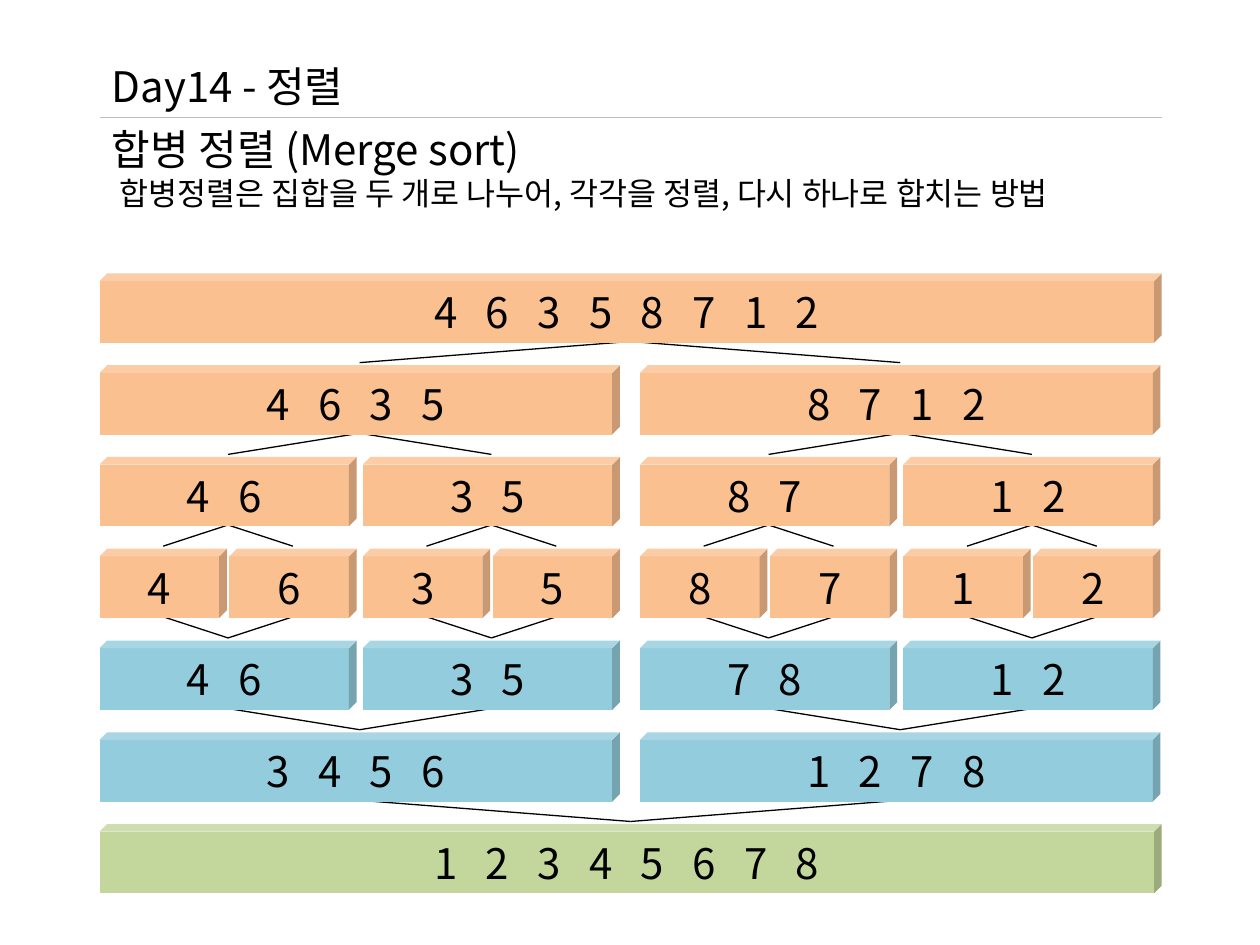
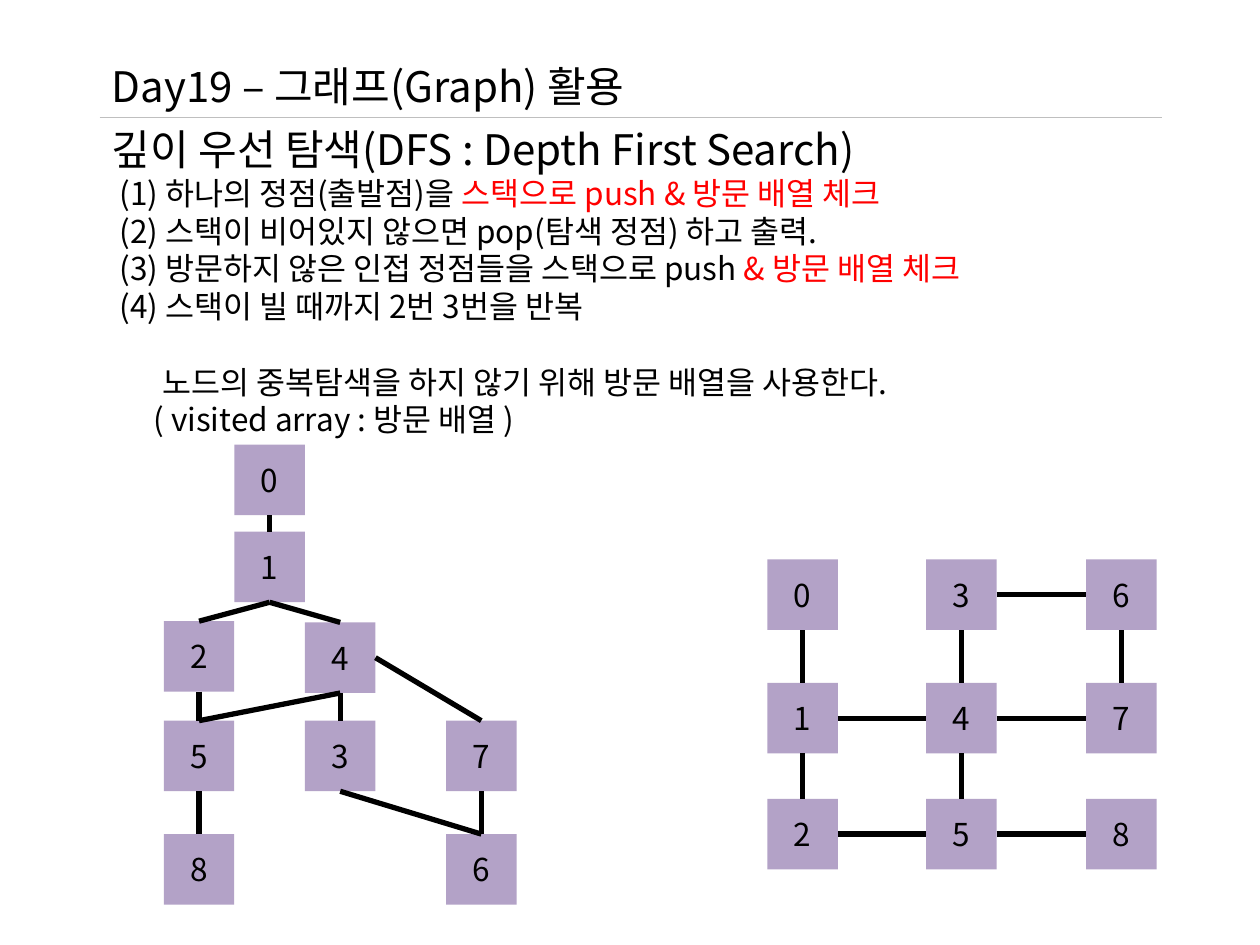
import pptx
import pptx.util
import pptx.dml.color
import pptx.enum.shapes
import pptx.enum.text
import pptx.oxml.ns
import lxml.etree

Inches = pptx.util.Inches
Pt = pptx.util.Pt
FACE = "Noto Sans CJK KR"
BLACK, RED, GRAY = "000000", "FF0000", "BFBFBF"
PEACH, BLUE, GREEN, MAUVE = "FAC090", "93CDDD", "C3D69B", "B3A2C7"
LEFT, WIDE, RULE = 0.79, 8.43, 0.93

MERGE = {
    "title": "Day14 - 정렬",
    "head": "합병 정렬 (Merge sort)",
    "body": [
        (0.06, 0, [("합병정렬은 집합을 두 개로 나누어, 각각을 정렬, 다시 하나로 합치는 방법", BLACK)]),
    ],
    "tall": 0.81,
}
ROWS = [
    (PEACH, ["46358712"]),
    (PEACH, ["4635", "8712"]),
    (PEACH, ["46", "35", "87", "12"]),
    (PEACH, ["4", "6", "3", "5", "8", "7", "1", "2"]),
    (BLUE, ["46", "35", "78", "12"]),
    (BLUE, ["3456", "1278"]),
    (GREEN, ["12345678"]),
]
WIDTHS = {1: 8.43, 2: 4.13, 4: 2.04, 8: 1.01}
SHIFTS = {2: 4.29, 4: 2.09, 8: 1.03}
TOP, LAST, HIGH = 2.17, 6.54, 0.55
STEP = (LAST - TOP) / (len(ROWS) - 1)

SEARCH = {
    "title": "Day19 – 그래프(Graph) 활용",
    "head": "깊이 우선 탐색(DFS : Depth First Search)",
    "body": [
        (0.06, 0, [("(1) 하나의 정점(출발점)을 ", BLACK), ("스택으로 push & 방문 배열 체크", RED)]),
        (0.06, 0, [("(2) 스택이 비어있지 않으면 pop(탐색 정점) 하고 출력.", BLACK)]),
        (0.06, 0, [("(3) 방문하지 않은 인접 정점들을 스택으로 push", BLACK), (" & 방문 배열 체크", RED)]),
        (0.06, 0, [("(4) 스택이 빌 때까지 2번 3번을 반복", BLACK)]),
        (0.4, 21.5, [("노드의 중복탐색을 하지 않기 위해 방문 배열을 사용한다.", BLACK)]),
        (0.33, 0, [("( visited array : 방문 배열 )", BLACK)]),
    ],
    "tall": 2.93,
}
NODE = 0.56
TREE = {
    "0": (1.86, 3.53), "1": (1.86, 4.22), "2": (1.3, 4.93),
    "3": (2.42, 5.72), "4": (2.42, 4.94), "5": (1.3, 5.72),
    "6": (3.54, 6.62), "7": (3.54, 5.72), "8": (1.3, 6.62),
}
GRID = {
    str(3 * col + row): (x, y)
    for col, x in enumerate((6.09, 7.35, 8.62))
    for row, y in enumerate((4.44, 5.42, 6.34))
}
SIDES = "tlbr"
GRAPHS = [
    (GRID, "0b1t 1b2t 3b4t 4b5t 6b7t 1r4l 2r5l 3r6l 4r7l 5r8l"),
    (TREE, "0b1t 1b2t 1b4t 2b5t 4b5t 4b3t 4r7t 5b8t 7b6t 3b6t"),
]


def tint(code):
    return pptx.dml.color.RGBColor.from_string(code)


def put(item, form):
    for key, val in form.items():
        setattr(item, key, val)


def write(para, text, size, color=BLACK):
    run = para.add_run()
    run.text = text
    put(run.font, {"size": Pt(size), "name": FACE})
    run.font.color.rgb = tint(color)
    mark = run.font._element
    mark.find(pptx.oxml.ns.qn("a:latin")).addnext(
        lxml.etree.Element(pptx.oxml.ns.qn("a:ea"), typeface=FACE))
    return run


def line(slide, start, end, color=BLACK, width=0.75):
    link = slide.shapes.add_connector(
        pptx.enum.shapes.MSO_CONNECTOR.STRAIGHT,
        *(Inches(val) for val in (*start, *end)))
    link.line.color.rgb = tint(color)
    link.line.width = Pt(width)
    lxml.etree.SubElement(link._element.spPr, pptx.oxml.ns.qn("a:effectLst"))
    return link


def block(slide, kind, at, color, form):
    shape = slide.shapes.add_shape(kind, *map(Inches, at))
    shape.shadow.inherit = False
    shape.fill.solid()
    shape.fill.fore_color.rgb = tint(color)
    shape.line.fill.background()
    put(shape.text_frame, {"vertical_anchor": pptx.enum.text.MSO_ANCHOR.MIDDLE, **form})
    shape.text_frame.paragraphs[0].alignment = pptx.enum.text.PP_ALIGN.CENTER
    return shape


def label(slide, top, tall):
    frame = slide.shapes.add_textbox(*map(Inches, (LEFT, top, WIDE, tall))).text_frame
    put(frame, {"word_wrap": True,
                "auto_size": pptx.enum.text.MSO_AUTO_SIZE.SHAPE_TO_FIT_TEXT})
    return frame


def start(deck, page):
    slide = deck.slides.add_slide(deck.slide_layouts[6])
    write(label(slide, 0.43, 0.5).paragraphs[0], page["title"], 24)
    line(slide, (LEFT, RULE), (LEFT + WIDE, RULE), GRAY)
    frame = label(slide, RULE, page["tall"])
    write(frame.paragraphs[0], page["head"], 24)
    for dent, gap, runs in page["body"]:
        para = frame.add_paragraph()
        para._p.get_or_add_pPr().set("marL", str(Inches(dent)))
        if gap:
            para.space_before = Pt(gap)
        for text, color in runs:
            write(para, text, 18, color)
    return slide


def edge(count, spot):
    left = LEFT
    while count > 1:
        left += SHIFTS[count] * (spot % 2)
        count, spot = count // 2, spot // 2
    return left


def mid(count, spot):
    return edge(count, spot) + WIDTHS[count] / 2


def merge(deck):
    slide = start(deck, MERGE)
    for row in range(len(ROWS) - 1):
        up, down = len(ROWS[row][1]), len(ROWS[row + 1][1])
        many = max(up, down)
        for spot in range(many):
            top = TOP + row * STEP
            line(slide,
                 (mid(up, spot * up // many), top + HIGH - 0.01),
                 (mid(down, spot * down // many), top + STEP - 0.02))
    form = dict.fromkeys(("margin_left", "margin_top", "margin_right", "margin_bottom"), 0)
    form["word_wrap"] = False
    for row, (color, sets) in enumerate(ROWS):
        count = len(sets)
        for spot, nums in enumerate(sets):
            at = (edge(count, spot), TOP + row * STEP, WIDTHS[count], HIGH)
            cube = block(slide, pptx.enum.shapes.MSO_SHAPE.CUBE, at, color, form)
            cube.adjustments[0] = 0.11
            run = write(cube.text_frame.paragraphs[0], " ".join(nums), 24)
            if len(nums) > 1:
                run.font._element.set("spc", "540")


def search(deck):
    slide = start(deck, SEARCH)
    for nodes, links in GRAPHS:
        made = {}
        for name, (x, y) in nodes.items():
            made[name] = block(slide, pptx.enum.shapes.MSO_SHAPE.RECTANGLE,
                               (x, y, NODE, NODE), MAUVE, {})
            write(made[name].text_frame.paragraphs[0], name, 18)
        for head, out, tail, into in links.split():
            link = line(slide, nodes[head], nodes[tail], width=3)
            link.begin_connect(made[head], SIDES.index(out))
            link.end_connect(made[tail], SIDES.index(into))


def main():
    deck = pptx.Presentation()
    put(deck, {"slide_width": Inches(10), "slide_height": Inches(7.5)})
    merge(deck)
    search(deck)
    deck.save("out.pptx")


if __name__ == "__main__":
    main()
